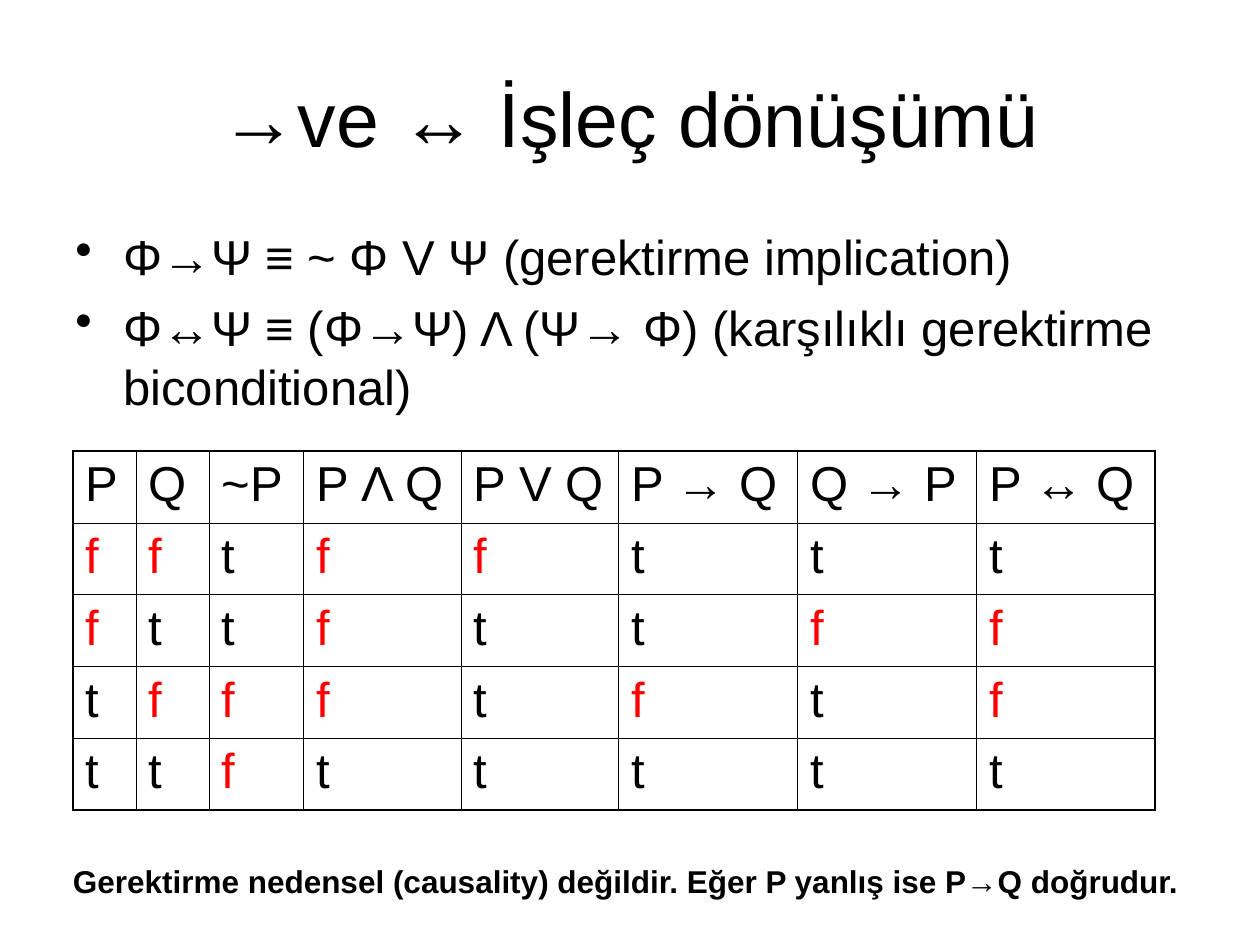
from dataclasses import dataclass

from lxml.etree import SubElement
from pptx import Presentation
from pptx.dml.color import RGBColor
from pptx.enum.text import MSO_ANCHOR as Anchor, MSO_AUTO_SIZE as AutoSize, PP_ALIGN as Align
from pptx.oxml.ns import qn
from pptx.util import Inches, Pt


@dataclass(frozen=True)
class Theme:
    font: str = "Arial"
    text: str = "000000"
    false_value: str = "FF0000"
    background: str = "FFFFFF"
    title_size: int = 44
    body_size: int = 28
    note_size: int = 18
    outer_line: float = 1.08
    inner_line: float = 0.45


theme = Theme()


def write(paragraph, text, size=theme.body_size, color=theme.text, bold=False,
          align=Align.LEFT, before=0, bullet=None):
    if bullet:
        properties = paragraph._p.get_or_add_pPr()
        properties.set("marL", str(Inches(0.38)))
        properties.set("indent", str(-Inches(0.38)))
        SubElement(properties, qn("a:buChar"), char=bullet)
    paragraph.alignment = align
    paragraph.space_before = Pt(before)
    run = paragraph.add_run()
    run.text = text
    run.font.name = theme.font
    run.font.size = Pt(size)
    run.font.bold = bold
    run.font.color.rgb = RGBColor.from_string(color)


def add_border(cell, side, width):
    line = SubElement(cell._tc.get_or_add_tcPr(), qn(f"a:ln{side}"), w=str(Pt(width)))
    fill = SubElement(line, qn("a:solidFill"))
    SubElement(fill, qn("a:srgbClr"), val=theme.text)


presentation = Presentation()
presentation.slide_width = Inches(10)
presentation.slide_height = Inches(7.5)
slide = presentation.slides.add_slide(presentation.slide_layouts[5])
slide.background.fill.solid()
slide.background.fill.fore_color.rgb = RGBColor.from_string(theme.background)

# Title
title = slide.shapes.title
title.left, title.top = Inches(0.5), Inches(0.3)
title.width, title.height = Inches(9), Inches(1.25)
title.text_frame.vertical_anchor = Anchor.MIDDLE
write(title.text_frame.paragraphs[0], "→ve ↔ İşleç dönüşümü",
      size=theme.title_size, align=Align.CENTER)

# Conversion rules
rules = [
    "Φ→Ψ ≡ ~ Φ V Ψ (gerektirme implication)",
    "Φ↔Ψ ≡ (Φ→Ψ) Λ (Ψ→ Φ) (karşılıklı gerektirme biconditional)",
]
rules_box = slide.shapes.add_textbox(Inches(0.5), Inches(1.75), Inches(9.08), Inches(1.67))
rules_frame = rules_box.text_frame
rules_frame.word_wrap = True
for index, rule in enumerate(rules):
    paragraph = rules_frame.add_paragraph() if index else rules_frame.paragraphs[0]
    write(paragraph, rule, before=7 if index else 0, bullet="•")

# Truth table
headers = ["P", "Q", "~P", "P Λ Q", "P V Q", "P → Q", "Q → P", "P ↔ Q"]
truth_rows = ["fftffttt", "fttfttff", "tffftftf", "ttfttttt"]
table_rows = [headers] + [list(values) for values in truth_rows]
column_widths = [0.5, 0.58, 0.75, 1.25, 1.25, 1.42, 1.42, 1.42]
row_height = 0.57
last_row, last_column = len(table_rows) - 1, len(headers) - 1

table = slide.shapes.add_table(
    len(table_rows), len(headers), Inches(0.58), Inches(3.58),
    Inches(sum(column_widths)), Inches(row_height * len(table_rows))).table
table.first_row = False
table.horz_banding = False
for column, width in zip(table.columns, column_widths):
    column.width = Inches(width)
for row_index, values in enumerate(table_rows):
    table.rows[row_index].height = Inches(row_height)
    for column_index, value in enumerate(values):
        cell = table.cell(row_index, column_index)
        outer_sides = {"L": column_index == 0, "R": column_index == last_column,
                       "T": row_index == 0, "B": row_index == last_row}
        for side, is_outer in outer_sides.items():
            add_border(cell, side, theme.outer_line if is_outer else theme.inner_line)
        cell.fill.background()
        write(cell.text_frame.paragraphs[0], value,
              color=theme.false_value if value == "f" else theme.text)

# Closing note
note_box = slide.shapes.add_textbox(Inches(0.48), Inches(6.79), Inches(9.01), Inches(0.4))
note_box.text_frame.word_wrap = False
note_box.text_frame.auto_size = AutoSize.SHAPE_TO_FIT_TEXT
write(note_box.text_frame.paragraphs[0],
      "Gerektirme nedensel (causality) değildir. Eğer P yanlış ise P→Q doğrudur.",
      size=theme.note_size, bold=True)

presentation.save("out.pptx")
